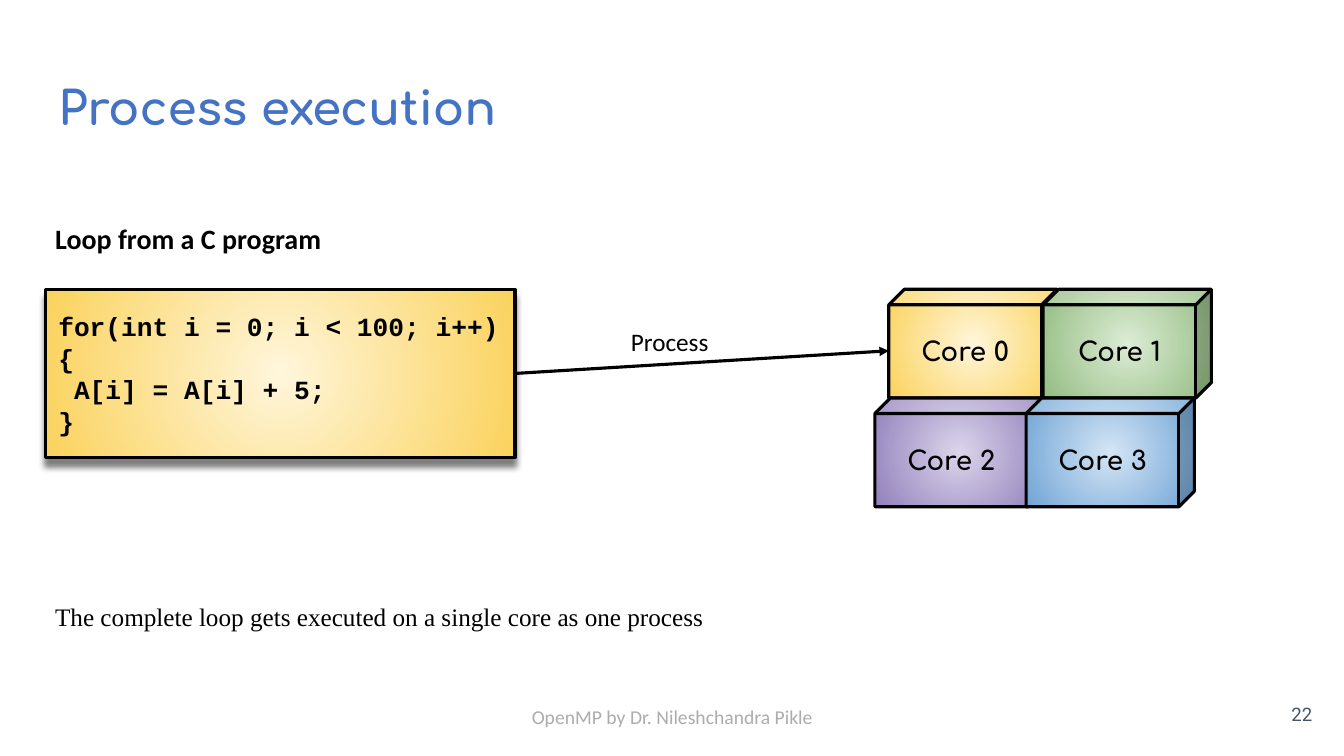
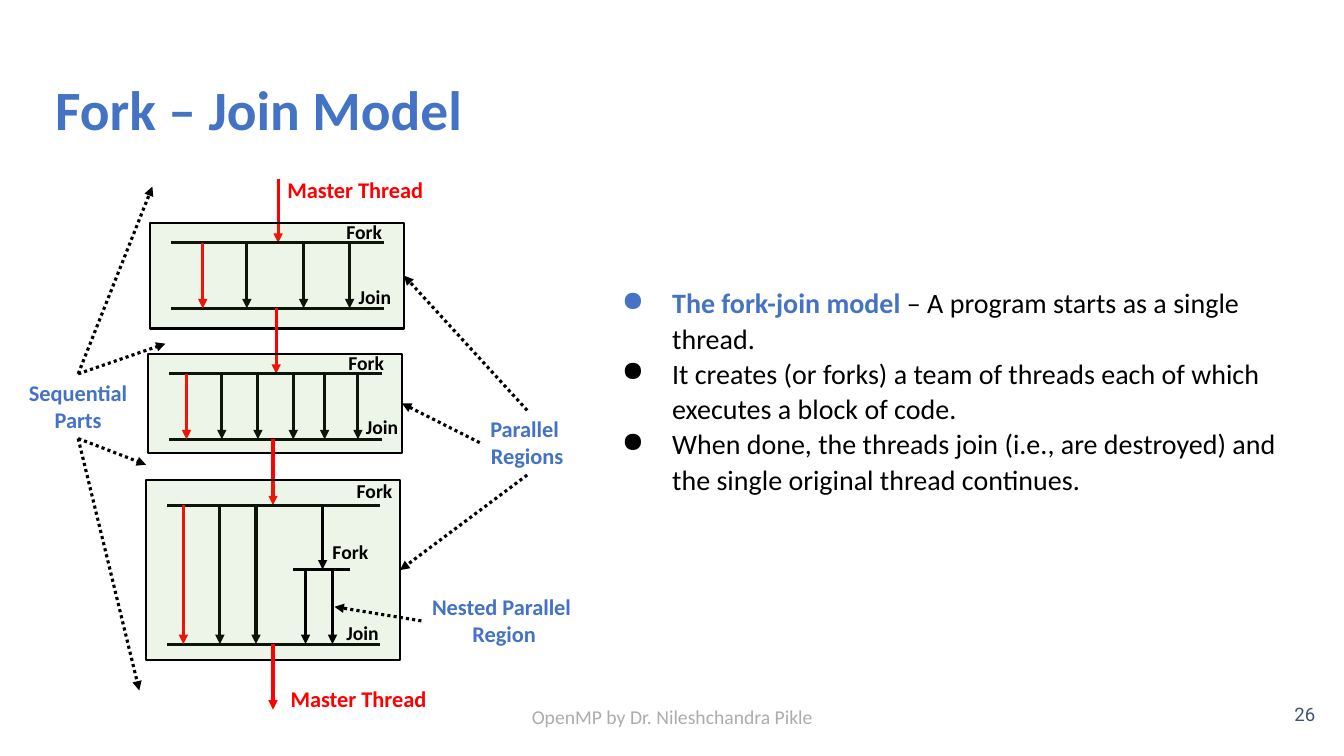
from typing import NamedTuple

import pptx
import pptx.dml.color
import pptx.enum.dml
import pptx.enum.shapes
import pptx.enum.text
import pptx.oxml
import pptx.oxml.ns
import pptx.util
from lxml import etree

Cm, Pt = pptx.util.Cm, pptx.util.Pt
qn = pptx.oxml.ns.qn
ALIGN = pptx.enum.text.PP_ALIGN
ANCHOR = pptx.enum.text.MSO_ANCHOR
SHAPE = pptx.enum.shapes.MSO_SHAPE
TOP, LEFT, BOTTOM, RIGHT = range(4)

COLORS = {
    "black": "000000",
    "title": "4472C4",
    "master": "FF0000",
    "number": "44546A",
    "footer": "AFABAB",
    "region": "70AD47",
}
GRADIENTS = {
    "yellow": ("FFF6DB", "FAD25C"),
    "green": ("DCECD5", "93BC81"),
    "purple": ("DBD4EB", "9180BB"),
    "blue": ("D4E5F5", "70A4D5"),
}


class TextStyle(NamedTuple):
    size: float
    font: str = "Calibri"
    color: str = "black"
    bold: bool = False


class Joint(NamedTuple):
    """The middle of one side of a shape, as the end of a line."""
    shape: object
    side: int


HEADING = TextStyle(20, bold=True)
CODE = TextStyle(18.7, "Courier New", bold=True)
CORE = TextStyle(18.7, "Comfortaa", bold=True)
CAPTION = TextStyle(18)
SENTENCE = TextStyle(18, "Times New Roman")
BODY = TextStyle(20)
BODY_LEAD = TextStyle(20, color="title", bold=True)
PART = TextStyle(16, color="title", bold=True)
MASTER = TextStyle(16, color="master", bold=True)
STEP = TextStyle(14, bold=True)
NUMBER = TextStyle(13.3, "Roboto", "number")
FOOTER = TextStyle(14, color="footer")


def rgb(value):
    return pptx.dml.color.RGBColor.from_string(value)


def add_xml(parent, tag, **attributes):
    return etree.SubElement(parent, qn(tag), attributes)


class Deck:
    def __init__(self):
        self.file = pptx.Presentation()
        self.file.slide_width, self.file.slide_height = Cm(33.87), Cm(19.05)
        self.slide = None

    def start(self, title, style, number, inset):
        self.slide = self.file.slides.add_slide(self.file.slide_layouts[6])
        self.text((1.14, 1.65, 31.55, 2.13), [title], style, inset=inset)
        self.text((31.37, 17.27, 2.03, 1.45), [number], NUMBER, ALIGN.RIGHT,
                  inset=inset, anchor=ANCHOR.MIDDLE)
        self.text((11.23, 17.65, 11.43, 1.02), ["OpenMP by Dr. Nileshchandra Pikle"],
                  FOOTER, ALIGN.CENTER)

    def add_lines(self, frame, lines, style, align):
        """Fill a frame; a line is a string or a list of (text, style) runs."""
        for index, line in enumerate(lines):
            paragraph = frame.add_paragraph() if index else frame.paragraphs[0]
            paragraph.alignment = align
            for words, look in [(line, style)] if isinstance(line, str) else line:
                run = paragraph.add_run()
                run.text = words
                run.font.size = Pt(look.size)
                run.font.name = look.font
                run.font.bold = look.bold
                run.font.color.rgb = rgb(COLORS[look.color])

    def set_frame(self, frame, inset, anchor):
        frame.word_wrap = True
        frame.vertical_anchor = anchor
        if inset is not None:
            frame.margin_left = frame.margin_right = Cm(inset)
            frame.margin_top = frame.margin_bottom = Cm(inset)

    def text(self, box, lines, style, align=ALIGN.LEFT, inset=None, anchor=ANCHOR.TOP):
        area = self.slide.shapes.add_textbox(*map(Cm, box))
        self.set_frame(area.text_frame, inset, anchor)
        self.add_lines(area.text_frame, lines, style, align)
        return area

    def label(self, box, lines, style, align=ALIGN.LEFT):
        """Text that never wraps and whose box fits it."""
        area = self.text(box, lines, style, align)
        area.text_frame.word_wrap = False
        area.text_frame.auto_size = pptx.enum.text.MSO_AUTO_SIZE.SHAPE_TO_FIT_TEXT
        return area

    def bullets(self, box, lines):
        area = self.text(box, lines, BODY, inset=0.25)
        for paragraph in area.text_frame.paragraphs:
            properties = paragraph._p.get_or_add_pPr()
            properties.set("marL", str(Cm(1.7)))
            properties.set("indent", str(Cm(-1.27)))
            add_xml(properties, "a:buChar", char="●")
            paragraph.line_spacing = 1.05

    def outlined(self, kind, box, width):
        shape = self.slide.shapes.add_shape(kind, *map(Cm, box))
        shape.shadow.inherit = False
        shape.line.color.rgb = rgb(COLORS["black"])
        shape.line.width = Pt(width)
        return shape

    def block(self, kind, box, gradient, lines, style, align):
        """A shape with text and a fill that glows from the centre."""
        shape = self.outlined(kind, box, 2.25)
        shape.fill.gradient()
        for stop, color in zip(shape.fill.gradient_stops, GRADIENTS[gradient]):
            stop.color.rgb = rgb(color)
        fill = shape._element.spPr.find(qn("a:gradFill"))
        linear = fill.find(qn("a:lin"))
        if linear is not None:
            fill.remove(linear)
        glow = add_xml(fill, "a:path", path="circle")
        add_xml(glow, "a:fillToRect", l="50000", t="50000", r="50000", b="50000")
        self.set_frame(shape.text_frame, 0.33, ANCHOR.MIDDLE)
        self.add_lines(shape.text_frame, lines, style, align)
        return shape

    def drop_shadow(self, shape):
        effects = shape._element.spPr.find(qn("a:effectLst"))
        shadow = add_xml(effects, "a:outerShdw", blurRad=str(Pt(4.5)), dist=str(Pt(6)),
                         dir="5400000", algn="bl", rotWithShape="0")
        color = add_xml(shadow, "a:srgbClr", val=COLORS["black"])
        add_xml(color, "a:alpha", val="50000")

    def region(self, box):
        shape = self.outlined(SHAPE.RECTANGLE, box, 1.5)
        shape.fill.solid()
        shape.fill.fore_color.rgb = rgb(COLORS["region"])
        color = shape._element.spPr.find(qn("a:solidFill")).find(qn("a:srgbClr"))
        add_xml(color, "a:alpha", val="12000")
        return shape

    def line(self, start, end, color="black", arrow=True, dotted=False):
        """Draw from start to end, each a point (x, y) or a Joint."""
        points = [(0, 0) if isinstance(tip, Joint) else tip for tip in (start, end)]
        connector = self.slide.shapes.add_connector(
            pptx.enum.shapes.MSO_CONNECTOR.STRAIGHT,
            *(Cm(value) for point in points for value in point))
        if isinstance(start, Joint):
            connector.begin_connect(*start)
        if isinstance(end, Joint):
            connector.end_connect(*end)
        connector.line.color.rgb = rgb(COLORS[color])
        connector.line.width = Pt(2.25)
        if dotted:
            connector.line.dash_style = pptx.enum.dml.MSO_LINE.ROUND_DOT
        properties = connector._element.spPr
        if arrow:
            add_xml(properties.find(qn("a:ln")), "a:tailEnd", type="triangle")
        add_xml(properties, "a:effectLst")

    def threads(self, columns, top, bottom):
        for x, color in columns:
            self.line((x, top), (x, bottom), color)


def process_slide(deck):
    deck.start("Process execution", TextStyle(33.3, "Comfortaa", "title", True), "22", 0.33)
    loop = deck.block(SHAPE.RECTANGLE, (1.14, 7.29, 11.84, 4.24), "yellow",
                      ["for(int i = 0; i < 100; i++)", "{", " A[i] = A[i] + 5;", "}"],
                      CODE, ALIGN.LEFT)
    deck.drop_shadow(loop)

    width, height, depth = 4.24, 2.74, 0.143
    core_rows = [(22.4, 3.89, ("yellow", "green")), (22.05, 3.81, ("purple", "blue"))]
    for row, (left, pitch, gradients) in enumerate(core_rows):
        for column, gradient in enumerate(gradients):
            box = (left + column * pitch, 7.29 + row * height, width, height)
            core = deck.block(SHAPE.CUBE, box, gradient, [f"Core {2 * row + column}"],
                              CORE, ALIGN.CENTER)
            core.adjustments[0] = depth

    deck.label((1.14, 5.46, 7.29, 1.12), ["Loop from a C program"], HEADING)
    deck.line(Joint(loop, RIGHT), (22.4, 8.84))
    deck.label((15.65, 8.1, 2.49, 1.02), ["Process"], CAPTION)
    deck.label((1.14, 15.04, 17.02, 1.02),
               ["The complete loop gets executed on a single core as one process"], SENTENCE)


def fork_join_slide(deck):
    deck.start("Fork – Join Model", TextStyle(39.6, color="title", bold=True), "26", 0.25)
    deck.bullets((14.99, 6.91, 17.73, 6.3), [
        [("The fork-join model ", BODY_LEAD),
         ("– A program starts as a single thread.", BODY)],
        "It creates (or forks) a team of threads each of which executes a block of code.",
        "When done, the threads join (i.e., are destroyed) and the single original "
        "thread continues.",
    ])

    # left, top, height, fork level, join level, master x, thread columns
    layout = [
        (3.78, 5.61, 2.67, 6.12, 7.77, 7.01, (5.11, 6.22, 7.65, 8.81)),
        (3.73, 8.92, 2.49, 9.42, 11.07, 6.96, (4.7, 5.59, 6.5, 7.39, 8.18, 9.02)),
        (3.68, 12.09, 4.55, 12.73, 16.23, 6.88, (4.62, 5.54, 6.45)),
    ]
    regions = []
    master_y = 4.5
    for left, top, height, fork, join, master_x, columns in layout:
        deck.line((master_x, master_y), (master_x, fork), "master")
        for level in (fork, join):
            deck.line((left + 0.53, level), (left + 5.89, level), arrow=False)
        colors = ["master"] + ["black"] * (len(columns) - 1)
        deck.threads(zip(columns, colors), fork, join)
        regions.append(deck.region((left, top, 6.4, height)))
        master_y = join
    deck.line((master_x, master_y), (master_x, 17.88), "master")

    nested_fork = 14.35
    deck.threads([(8.13, "black")], fork, nested_fork)
    deck.line((7.39, nested_fork), (8.81, nested_fork), arrow=False)
    deck.threads([(7.7, "black"), (8.38, "black")], nested_fork, join)

    parallel = deck.label((12.09, 10.34, 2.39, 1.63), ["Parallel ", "Regions"],
                          PART, ALIGN.CENTER)
    for side, region in zip((TOP, LEFT, BOTTOM), regions):
        deck.line(Joint(parallel, side), Joint(region, RIGHT), dotted=True)

    sequential = deck.label((0.46, 9.42, 3.02, 1.63), ["Sequential", "Parts"],
                            PART, ALIGN.CENTER)
    for side, target in [(TOP, (4.17, 8.66)), (BOTTOM, (3.68, 11.71)),
                         (TOP, (3.84, 4.7)), (BOTTOM, (3.51, 17.4))]:
        deck.line(Joint(sequential, side), target, dotted=True)

    nested = deck.label((10.62, 14.83, 4.17, 1.63), ["Nested Parallel ", "Region"],
                        PART, ALIGN.CENTER)
    deck.line(Joint(nested, LEFT), (8.43, 15.29), dotted=True)

    for x, y in [(6.96, 4.32), (7.04, 17.15)]:
        deck.label((x, y, 3.99, 0.94), ["Master Thread"], MASTER, ALIGN.CENTER)
    steps = {
        "Fork": (1.42, [(8.48, 5.41), (8.53, 8.71), (8.74, 11.94), (8.13, 13.49)]),
        "Join": (1.35, [(8.79, 7.06), (8.97, 10.34), (8.48, 15.52)]),
    }
    for name, (width, places) in steps.items():
        for x, y in places:
            deck.label((x, y, width, 0.86), [name], STEP)


def main():
    deck = Deck()
    process_slide(deck)
    fork_join_slide(deck)
    deck.file.save("out.pptx")


if __name__ == "__main__":
    main()
